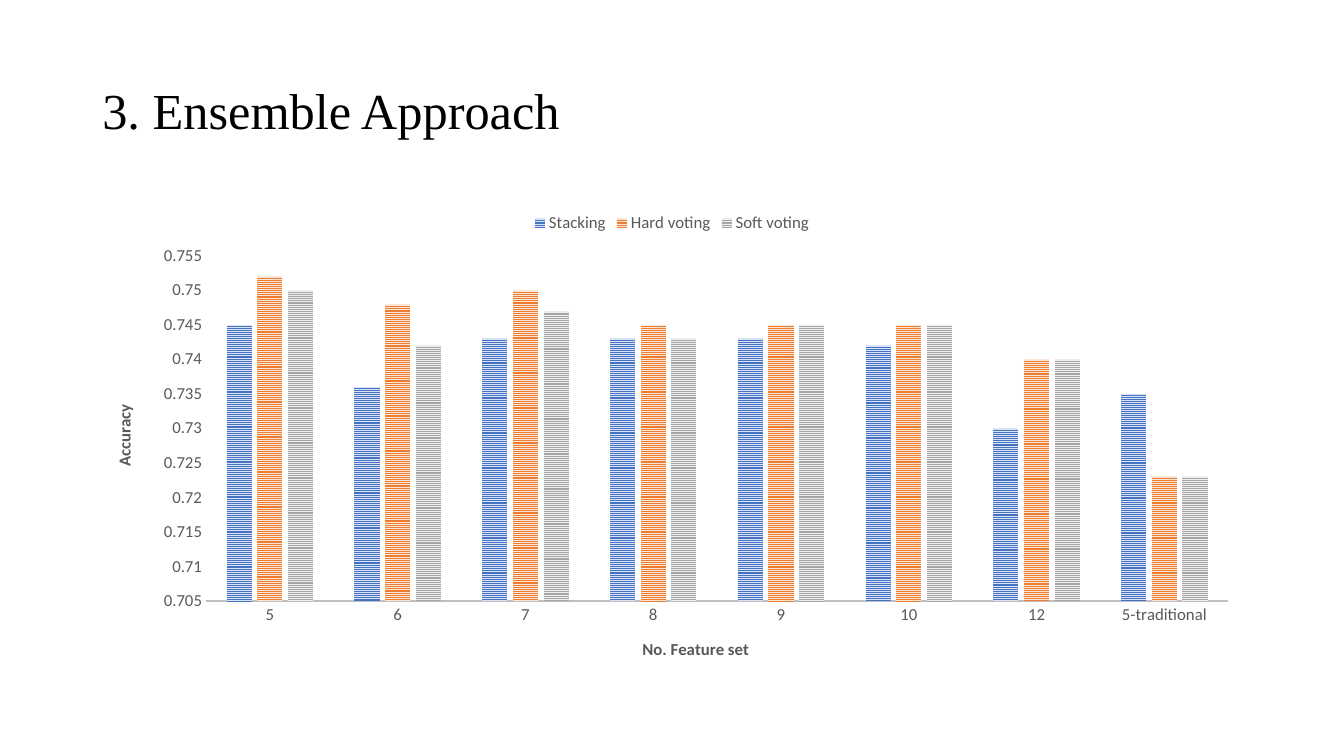
"""Build a slide with a clustered column chart of ensemble accuracy per feature set."""
from lxml.etree import SubElement
from pptx import Presentation
from pptx.chart.data import CategoryChartData
from pptx.dml.color import RGBColor
from pptx.enum.chart import XL_CHART_TYPE as ChartType, XL_LEGEND_POSITION as LegendPosition
from pptx.enum.chart import XL_TICK_MARK as TickMark
from pptx.enum.dml import MSO_PATTERN as Pattern
from pptx.enum.text import MSO_ANCHOR as Anchor
from pptx.oxml.ns import qn
from pptx.util import Pt

GREY = "595959"
CHART_WIDTH, CHART_HEIGHT = 828, 342.6


def color(hex_value):
    return RGBColor.from_string(hex_value)


def place(parent, index, **points):
    for old_layout in parent.findall(qn("c:layout")):
        parent.remove(old_layout)
    layout = SubElement(parent, qn("c:layout"))
    parent.insert(index, layout)
    manual = SubElement(layout, qn("c:manualLayout"))
    if "w" in points:
        SubElement(manual, qn("c:layoutTarget")).set("val", "inner")
    for mode in ("xMode", "yMode"):
        SubElement(manual, qn(f"c:{mode}")).set("val", "edge")
    for side, length in points.items():
        whole = CHART_WIDTH if side in "xw" else CHART_HEIGHT
        SubElement(manual, qn(f"c:{side}")).set("val", str(length / whole))


deck = Presentation()
deck.slide_width, deck.slide_height = Pt(960), Pt(540)
slide = deck.slides.add_slide(deck.slide_layouts[6])

heading = slide.shapes.add_textbox(Pt(66), Pt(28.75), Pt(828), Pt(104.4)).text_frame
heading.word_wrap = True
heading.vertical_anchor = Anchor.MIDDLE
title = heading.paragraphs[0]
title.text = "3. Ensemble Approach"
title.line_spacing = 0.9
title.font.size = Pt(36)
title.font.name = "Times New Roman"
title.font.color.rgb = color("000000")

accuracy = CategoryChartData()
accuracy.categories = ["5", "6", "7", "8", "9", "10", "12", "5-traditional"]
accuracy.add_series("Stacking", [0.745, 0.736, 0.743, 0.743, 0.743, 0.742, 0.73, 0.735])
accuracy.add_series("Hard voting", [0.752, 0.748, 0.75, 0.745, 0.745, 0.745, 0.74, 0.723])
accuracy.add_series("Soft voting", [0.75, 0.742, 0.747, 0.743, 0.745, 0.745, 0.74, 0.723])
chart = slide.shapes.add_chart(
    ChartType.COLUMN_CLUSTERED, Pt(66), Pt(144), Pt(CHART_WIDTH), Pt(CHART_HEIGHT), accuracy
).chart
chart.has_title = False
chart.font.size = Pt(12)
chart.font.name = "Calibri"
chart.font.color.rgb = color(GREY)
chart.has_legend = True
chart.legend.position = LegendPosition.TOP
chart.legend.include_in_layout = False

columns = chart.plots[0]
columns.gap_width = 164
columns.overlap = -22
columns.vary_by_categories = False
stripes = [("4472C4", "DAE3F3"), ("ED7D31", "FBE5D6"), ("A5A5A5", "EDEDED")]
for method, (stripe, ground) in zip(columns.series, stripes):
    fill = method.format.fill
    fill.patterned()
    fill.pattern = Pattern.NARROW_HORIZONTAL
    fill.fore_color.rgb = color(stripe)
    fill.back_color.rgb = color(ground)
    method.format.line.fill.background()

feature_axis, accuracy_axis = chart.category_axis, chart.value_axis
for axis, caption, x, y in [
    (feature_axis, "No. Feature set", 390.6, 309.6),
    (accuracy_axis, "Accuracy", 12.4, 142.5),
]:
    axis.has_major_gridlines = False
    axis.major_tick_mark = axis.minor_tick_mark = TickMark.NONE
    axis_caption = axis.axis_title.text_frame.paragraphs[0]
    axis_caption.text = caption
    axis_caption.font.size = Pt(12)
    axis_caption.font.bold = True
    axis_caption.font.name = "Calibri"
    axis_caption.font.color.rgb = color(GREY)
    place(axis.axis_title._element, 1, x=x, y=y)
feature_axis.format.line.color.rgb = color("BFBFBF")
feature_axis.format.line.width = Pt(1.5)
accuracy_axis.format.line.fill.background()
accuracy_axis.minimum_scale = 0.705
accuracy_axis.maximum_scale = 0.755
accuracy_axis.major_unit = 0.005
accuracy_axis.tick_labels.number_format = "General"
accuracy_axis.tick_labels.number_format_is_linked = False
place(chart._chartSpace.chart.plotArea, 0, x=81.2, y=38.6, w=730.2, h=246.6)

deck.save("out.pptx")
